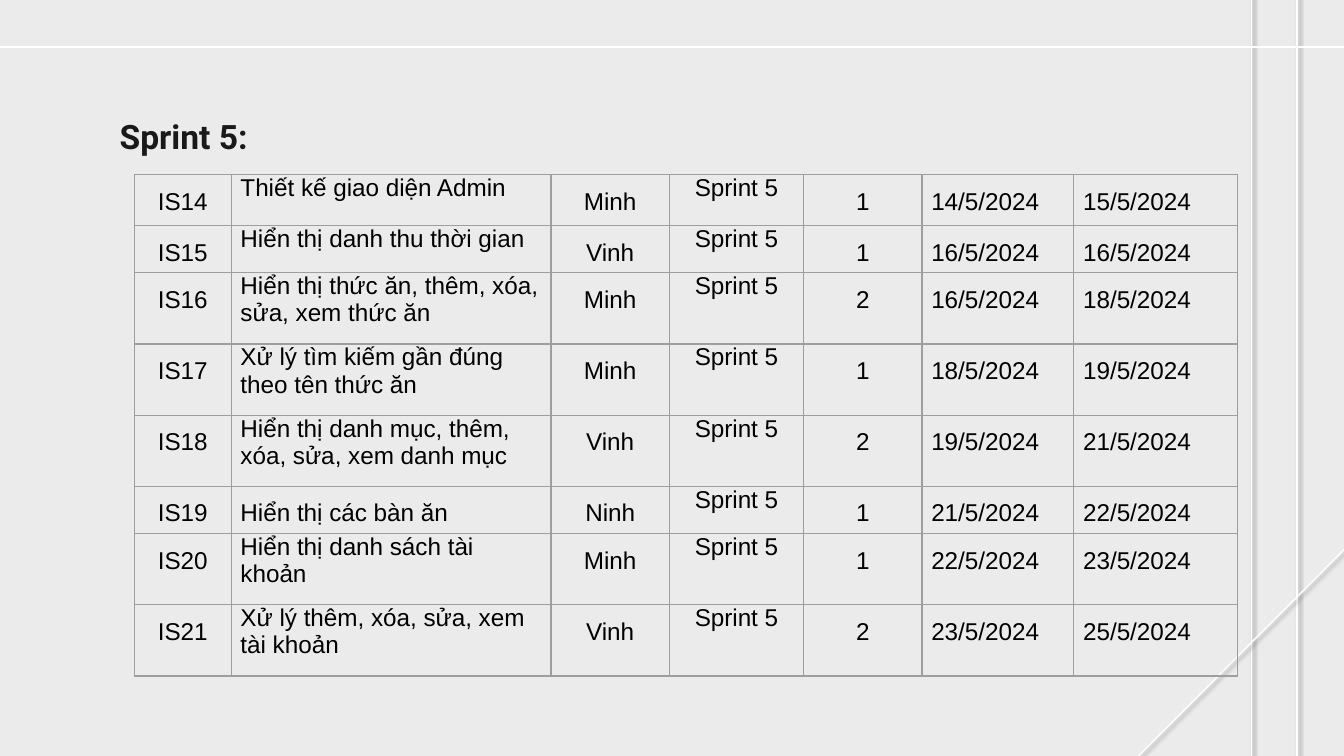
from dataclasses import dataclass

from lxml import etree
from pptx import Presentation
from pptx.dml.color import RGBColor
from pptx.enum.shapes import MSO_CONNECTOR
from pptx.enum.text import MSO_ANCHOR, MSO_AUTO_SIZE, PP_ALIGN
from pptx.oxml.ns import qn
from pptx.util import Inches, Pt

STRAIGHT = MSO_CONNECTOR.STRAIGHT
TOP = MSO_ANCHOR.TOP
NO_AUTOFIT = MSO_AUTO_SIZE.NONE
LEFT, CENTER = PP_ALIGN.LEFT, PP_ALIGN.CENTER
TITLE_ONLY = 5
PAGE_WIDTH = 10
PAGE_HEIGHT = PAGE_WIDTH * 9 / 16


@dataclass(frozen=True)
class Theme:
    background: str = "EBEBEB"
    rule: str = "FFFFFF"
    shadow: str = "434343"
    title: str = "191919"
    text: str = "000000"
    border: str = "9E9E9E"
    title_font: str = "Roboto"
    body_font: str = "Arial"
    title_size: float = 18
    body_size: float = 13
    line_width: float = 0.75


GUIDE_LINES = [
    (9.65, -0.16, 9.65, PAGE_HEIGHT),
    (9.31, -0.16, 9.31, PAGE_HEIGHT),
    (-0.06, 0.35, 10.06, 0.35),
    (10.04, 4.05, 8.47, PAGE_HEIGHT),
]
COLUMN_WIDTHS = [0.72, 2.38, 0.88, 1, 0.88, 1.13, 1.22]
COLUMN_ALIGNMENTS = [CENTER, LEFT, CENTER, CENTER, CENTER, LEFT, LEFT]
ROW_HEIGHTS = [0.38, 0.35, 0.53, 0.53, 0.53, 0.35, 0.53, 0.53]
TASK_COLUMN, SPRINT_COLUMN = 1, 3
SPRINT = "Sprint 5"
SPACED_TASK = "Hiển thị các bàn ăn"
TASKS = [
    ("IS14", "Thiết kế giao diện Admin", "Minh", SPRINT, "1", "14/5/2024", "15/5/2024"),
    ("IS15", "Hiển thị danh thu thời gian", "Vinh", SPRINT, "1", "16/5/2024", "16/5/2024"),
    ("IS16", "Hiển thị thức ăn, thêm, xóa, sửa, xem thức ăn", "Minh", SPRINT, "2",
     "16/5/2024", "18/5/2024"),
    ("IS17", "Xử lý tìm kiếm gần đúng theo tên thức ăn", "Minh", SPRINT, "1",
     "18/5/2024", "19/5/2024"),
    ("IS18", "Hiển thị danh mục, thêm, xóa, sửa, xem danh mục", "Vinh", SPRINT, "2",
     "19/5/2024", "21/5/2024"),
    ("IS19", SPACED_TASK, "Ninh", SPRINT, "1", "21/5/2024", "22/5/2024"),
    ("IS20", "Hiển thị danh sách tài khoản", "Minh", SPRINT, "1", "22/5/2024", "23/5/2024"),
    ("IS21", "Xử lý thêm, xóa, sửa, xem tài khoản", "Vinh", SPRINT, "2",
     "23/5/2024", "25/5/2024"),
]


class PageBuilder:
    """Holds the theme and the page that elements are added to."""

    def __init__(self, page, theme):
        self.page = page
        self.theme = theme

    def background(self):
        fill = self.page.background.fill
        fill.solid()
        fill.fore_color.rgb = RGBColor.from_string(self.theme.background)

    def format_para(self, para, font, size, color, align, bold=False, spacing=1.0):
        para.alignment = align
        para.line_spacing = spacing
        for span in para.runs:
            span.font.name = font
            span.font.size = Pt(size)
            span.font.bold = bold
            span.font.color.rgb = RGBColor.from_string(color)

    def guide_line(self, x1, y1, x2, y2):
        line = self.page.shapes.add_connector(
            STRAIGHT, Inches(x1), Inches(y1), Inches(x2), Inches(y2))
        line.line.color.rgb = RGBColor.from_string(self.theme.rule)
        line.line.width = Pt(self.theme.line_width)
        effects = etree.SubElement(line._element.spPr, qn("a:effectLst"))
        shadow = etree.SubElement(
            effects, qn("a:outerShdw"), blurRad=str(Pt(2.2)), dist=str(Pt(1.5)),
            dir=str(51 * 60000), algn="tl", rotWithShape="0")
        color = etree.SubElement(shadow, qn("a:srgbClr"), val=self.theme.shadow)
        etree.SubElement(color, qn("a:alpha"), val="50000")

    def title(self, text, left, top, width, height):
        box = self.page.shapes.title
        box.left, box.top = Inches(left), Inches(top)
        box.width, box.height = Inches(width), Inches(height)
        frame = box.text_frame
        frame.text = text
        frame.word_wrap = True
        frame.auto_size = NO_AUTOFIT
        frame.vertical_anchor = TOP
        frame.margin_left = frame.margin_right = Inches(0.1)
        frame.margin_top = frame.margin_bottom = Inches(0.1)
        self.format_para(frame.paragraphs[0], self.theme.title_font,
                         self.theme.title_size, self.theme.title, LEFT, bold=True)

    def cell_borders(self, cell):
        properties = cell._tc.get_or_add_tcPr()
        for index, side in enumerate(("lnL", "lnR", "lnT", "lnB")):
            border = etree.Element(qn(f"a:{side}"), w=str(Pt(self.theme.line_width)))
            fill = etree.SubElement(border, qn("a:solidFill"))
            etree.SubElement(fill, qn("a:srgbClr"), val=self.theme.border)
            properties.insert(index, border)

    def table_cell(self, cell, text, align, spacing):
        cell.text_frame.text = text
        cell.vertical_anchor = TOP
        cell.margin_left = cell.margin_right = Inches(0.07)
        cell.margin_top = cell.margin_bottom = 0
        cell.fill.background()
        self.cell_borders(cell)
        self.format_para(cell.text_frame.paragraphs[0], self.theme.body_font,
                         self.theme.body_size, self.theme.text, align, spacing=spacing)

    def task_table(self, tasks, left, top):
        table = self.page.shapes.add_table(
            len(tasks), len(COLUMN_WIDTHS), Inches(left), Inches(top),
            Inches(sum(COLUMN_WIDTHS)), Inches(sum(ROW_HEIGHTS))).table
        table.first_row = table.horz_banding = False
        for column, width in zip(table.columns, COLUMN_WIDTHS):
            column.width = Inches(width)
        for row, height, task in zip(table.rows, ROW_HEIGHTS, tasks):
            row.height = Inches(height)
            for index, (cell, text) in enumerate(zip(row.cells, task)):
                single = index in (TASK_COLUMN, SPRINT_COLUMN) and text != SPACED_TASK
                self.table_cell(cell, text, COLUMN_ALIGNMENTS[index], 1.0 if single else 1.5)


def main():
    deck = Presentation()
    deck.slide_width, deck.slide_height = Inches(PAGE_WIDTH), Inches(PAGE_HEIGHT)
    page = deck.slides.add_slide(deck.slide_layouts[TITLE_ONLY])
    builder = PageBuilder(page, Theme())
    builder.background()
    for ends in GUIDE_LINES:
        builder.guide_line(*ends)
    builder.title("Sprint 5:", 0.79, 0.76, 1.74, 0.4)
    builder.task_table(TASKS, 1, 1.3)
    deck.save("out.pptx")


if __name__ == "__main__":
    main()
